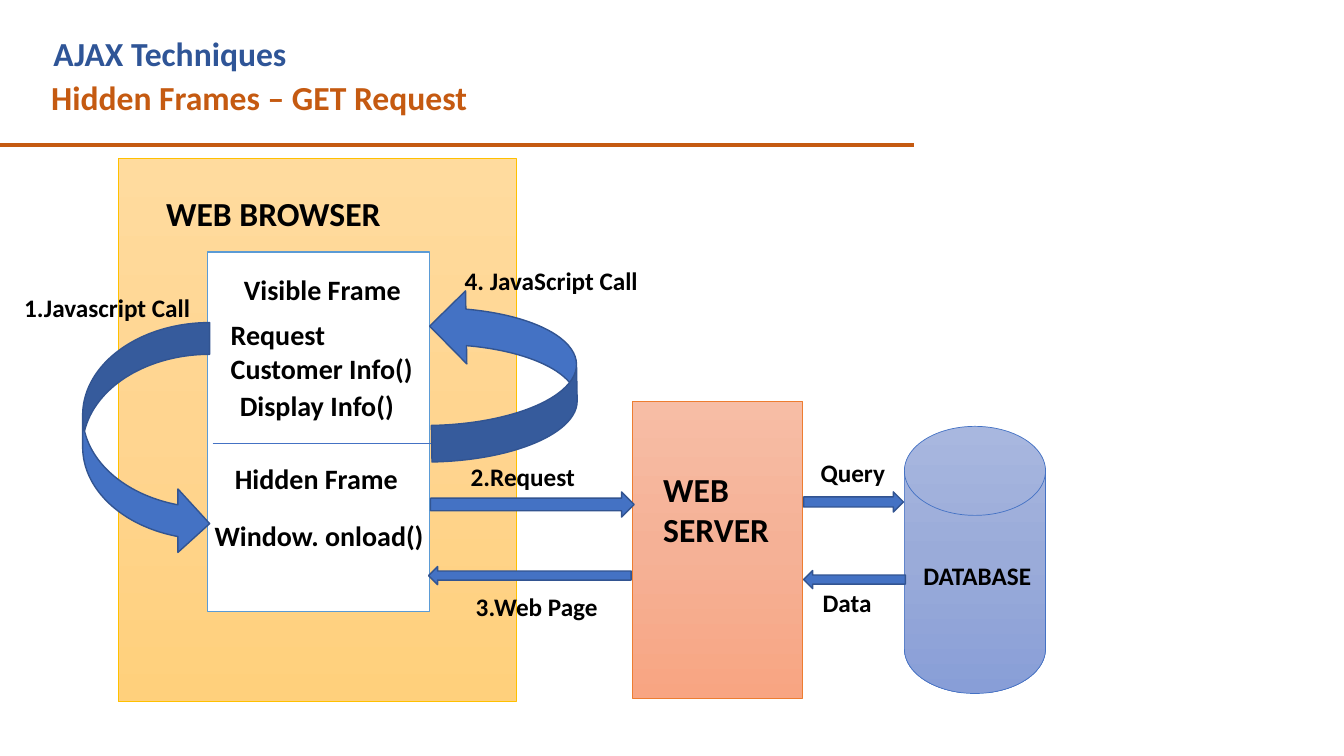
from copy import deepcopy

from pptx import Presentation
from pptx.dml.color import RGBColor
from pptx.enum.shapes import MSO_CONNECTOR, MSO_SHAPE as SHAPE
from pptx.enum.text import MSO_ANCHOR, MSO_AUTO_SIZE, PP_ALIGN
from pptx.oxml.ns import qn
from pptx.util import Inches, Pt

FONT = "Calibri"
COLORS = {
    "title": "2F5597", "accent": "C55A11", "text": "000000", "white": "FFFFFF",
    "arrow": "4472C4", "arrow_edge": "325491", "frame_edge": "5B9BD5",
    "browser_edge": "FFC000", "server_edge": "ED7D31", "database_edge": "4472C4",
}
GRADIENTS = {
    "browser": ("FFDB9E", "FFD590", "FFD07C"),
    "server": ("F7BDA5", "F5B196", "F8A582"),
    "database": ("A8B7DF", "9AABD9", "889ED7"),
}

TITLE = ("AJAX Techniques", (0.43, 0.28, 8.2, 0.5))
SUBTITLE = ("Hidden Frames – GET Request", (0.41, 0.71, 8.75, 0.5))

# name, shape, (left, top, width, height)
SYSTEMS = [
    ("browser", SHAPE.RECTANGLE, (1.17, 1.57, 3.95, 5.39)),
    ("server", SHAPE.RECTANGLE, (6.27, 3.98, 1.69, 2.95)),
    ("database", SHAPE.FLOWCHART_MAGNETIC_DISK, (8.97, 4.23, 1.4, 2.65)),
]
FRAMES = (2.06, 2.5, 2.2, 3.57)

# text size: (text, left, top, width, height)
LABELS = {
    24: [
        ("WEB BROWSER", 1.55, 1.86, 3, 0.5),
        ("WEB SERVER", 6.48, 4.6, 1.36, 0.91),
    ],
    20: [
        ("Visible Frame", 2.32, 2.65, 1.89, 0.44),
        ("Request Customer Info()", 2.19, 3.1, 2.07, 0.77),
        ("Display Info()", 2.28, 3.81, 2.07, 0.44),
        ("Hidden Frame", 2.23, 4.53, 1.89, 0.44),
        ("Window. onload()", 2.03, 5.09, 2.43, 0.44),
    ],
    18: [
        ("1.Javascript Call", 0.14, 2.85, 1.96, 0.4),
        ("2.Request", 4.57, 4.53, 1.45, 0.4),
        ("3.Web Page", 4.62, 5.82, 1.45, 0.4),
        ("4. JavaScript Call", 4.51, 2.58, 2.07, 0.4),
        ("Query", 8.04, 4.49, 0.86, 0.4),
        ("Data", 8.06, 5.78, 0.86, 0.4),
        ("DATABASE", 9.06, 5.51, 1.28, 0.4),
    ],
}

# shape, (left, top, width, height), rotation
ARROWS = [
    (SHAPE.CURVED_RIGHT_ARROW, (0.82, 3.2, 1.26, 2.31), 0),
    (SHAPE.RIGHT_ARROW, (4.27, 4.88, 2.02, 0.25), 0),
    (SHAPE.RIGHT_ARROW, (7.97, 4.88, 0.99, 0.2), 0),
    (SHAPE.LEFT_ARROW, (7.97, 5.66, 1.01, 0.18), 0),
    (SHAPE.LEFT_ARROW, (4.25, 5.62, 2.01, 0.18), 0),
    (SHAPE.CURVED_UP_ARROW, (4.14, 2.99, 1.71, 1.45), 269),
]


def rgb(name):
    return RGBColor.from_string(COLORS[name])


def inches(values):
    return [Inches(value) for value in values]


def write(box, text, size=18, color="text"):
    frame = box.text_frame
    frame.word_wrap = True
    frame.auto_size = MSO_AUTO_SIZE.NONE
    frame.vertical_anchor = MSO_ANCHOR.TOP
    para = frame.paragraphs[0]
    para.alignment = PP_ALIGN.LEFT
    para.line_spacing = 1.0
    span = para.add_run()
    span.text = text
    span.font.name = FONT
    span.font.size = Pt(size)
    span.font.bold = True
    span.font.color.rgb = rgb(color)


def add_label(page, text, place, **style):
    write(page.shapes.add_textbox(*inches(place)), text, **style)


def add_block(page, kind, place, edge, width=1, fill=None):
    block = page.shapes.add_shape(kind, *inches(place))
    block.shadow.inherit = False
    block.line.color.rgb = rgb(edge)
    block.line.width = Pt(width)
    if fill:
        block.fill.solid()
        block.fill.fore_color.rgb = rgb(fill)
    return block


def shade(block, stops):
    """Fill a block from top to bottom with three evenly spaced colours."""
    block.fill.gradient()
    block.fill.gradient_angle = 270
    stop_list = block.fill._fill._gradFill.find(qn("a:gsLst"))
    stop_list.insert(1, deepcopy(stop_list[0]))
    for index, (stop, color) in enumerate(zip(block.fill.gradient_stops, stops)):
        stop.position = index / 2
        stop.color.rgb = RGBColor.from_string(color)


def add_rule(page, left, right, y, color, width):
    rule = page.shapes.add_connector(
        MSO_CONNECTOR.STRAIGHT, *inches((left, y, right, y)))
    rule.line.color.rgb = rgb(color)
    rule.line.width = Pt(width)
    properties = rule._element.spPr
    properties.append(properties.makeelement(qn("a:effectLst"), {}))


def main():
    deck = Presentation()
    deck.slide_width, deck.slide_height = Inches(13.33), Inches(7.5)
    page = deck.slides.add_slide(deck.slide_layouts[5])

    text, place = TITLE
    title = page.shapes.title
    title.left, title.top, title.width, title.height = inches(place)
    write(title, text, size=24, color="title")
    add_label(page, *SUBTITLE, size=24, color="accent")
    add_rule(page, -0.01, 9.07, 1.44, "accent", 3)

    for name, kind, place in SYSTEMS:
        shade(add_block(page, kind, place, name + "_edge", 0.5), GRADIENTS[name])
    add_block(page, SHAPE.RECTANGLE, FRAMES, "frame_edge", fill="white")
    add_rule(page, 2.11, 4.31, 4.4, "arrow", 0.5)

    for size, labels in LABELS.items():
        for text, *place in labels:
            add_label(page, text, place, size=size)
    for kind, place, rotation in ARROWS:
        arrow = add_block(page, kind, place, "arrow_edge", fill="arrow")
        arrow.rotation = rotation

    deck.save("out.pptx")


if __name__ == "__main__":
    main()
